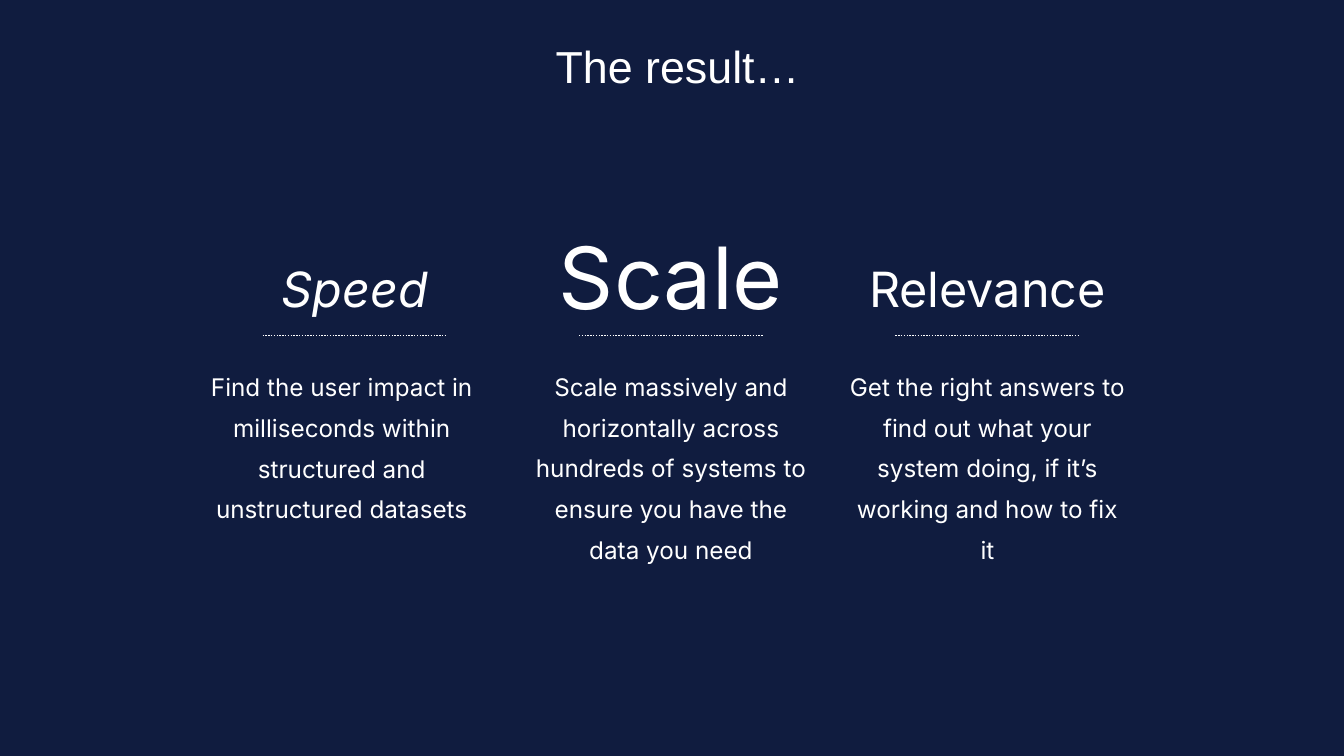
from dataclasses import dataclass

from lxml import etree
from pptx import Presentation
from pptx import util as u
from pptx.dml.color import RGBColor
from pptx.enum import dml, shapes, text
from pptx.oxml.ns import qn
from pptx.slide import Slide


@dataclass(frozen=True)
class Theme:
    navy: RGBColor = RGBColor(0x10, 0x1C, 0x3F)
    white: RGBColor = RGBColor(0xFF, 0xFF, 0xFF)
    title_font: str = "Arial"
    column_font: str = "Inter"
    title_size: float = 48
    heading_size: float = 52
    hero_size: float = 92
    body_size: float = 26


THEME = Theme()


@dataclass(frozen=True)
class Area:
    left: float
    top: float
    width: float
    height: float


@dataclass(frozen=True)
class TextStyle:
    size: float
    font: str = THEME.column_font
    italic: bool = False
    line_spacing: float = 1.0
    inset_x: float = 14.4
    inset_y: float = 14.4


@dataclass(frozen=True)
class Benefit:
    heading: str
    body: str
    heading_style: TextStyle
    heading_top: float
    heading_width: float
    heading_height: float
    body_height: float
    body_shift: float = 0


TITLE_STYLE = TextStyle(THEME.title_size, THEME.title_font,
                        line_spacing=0.9, inset_x=10.8, inset_y=5)
BODY_STYLE = TextStyle(THEME.body_size, line_spacing=1.4)

SLIDE_WIDTH, SLIDE_HEIGHT = 1440, 810
FIRST_CENTER, COLUMN_PITCH = 380, 339
BODY_TOP, BODY_WIDTH = 372, 324
RULE_TOP, RULE_WIDTH = 359.3, 197.3

BENEFITS = [
    Benefit("Speed",
            "Find the user impact in milliseconds within structured and "
            "unstructured datasets",
            TextStyle(THEME.heading_size, italic=True),
            263.5, 487.4, 114, 85, body_shift=-13.7),
    Benefit("Scale",
            "Scale massively and horizontally across hundreds of systems to "
            "ensure you have the data you need",
            TextStyle(THEME.hero_size), 225.4, 313.2, 162, 177),
    Benefit("Relevance",
            "Get the right answers to find out what your system doing, if "
            "it’s working and how to fix it",
            TextStyle(THEME.heading_size), 263.5, 375.8, 120, 114),
]


def add_text(slide: Slide, wording: str, area: Area, style: TextStyle) -> None:
    frame = slide.shapes.add_textbox(
        u.Pt(area.left), u.Pt(area.top), u.Pt(area.width), u.Pt(area.height)
    ).text_frame
    frame.word_wrap = True
    frame.vertical_anchor = text.MSO_ANCHOR.TOP
    frame.margin_left = frame.margin_right = u.Pt(style.inset_x)
    frame.margin_top = frame.margin_bottom = u.Pt(style.inset_y)
    paragraph = frame.paragraphs[0]
    paragraph.alignment = text.PP_ALIGN.CENTER
    paragraph.line_spacing = style.line_spacing
    run = paragraph.add_run()
    run.text = wording
    run.font.name = style.font
    run.font.size = u.Pt(style.size)
    run.font.italic = style.italic
    run.font.color.rgb = THEME.white


def add_dotted_rule(slide: Slide, center: float) -> None:
    rule = slide.shapes.add_connector(
        shapes.MSO_CONNECTOR.STRAIGHT,
        u.Pt(center - RULE_WIDTH / 2), u.Pt(RULE_TOP),
        u.Pt(center + RULE_WIDTH / 2), u.Pt(RULE_TOP))
    rule.line.color.rgb = THEME.white
    rule.line.width = u.Pt(1.5)
    rule.line.dash_style = dml.MSO_LINE.ROUND_DOT
    etree.SubElement(rule._element.spPr, qn("a:effectLst"))


def add_benefit(slide: Slide, benefit: Benefit, center: float) -> None:
    add_text(slide, benefit.heading,
             Area(center - benefit.heading_width / 2, benefit.heading_top,
                  benefit.heading_width, benefit.heading_height),
             benefit.heading_style)
    add_text(slide, benefit.body,
             Area(center + benefit.body_shift - BODY_WIDTH / 2, BODY_TOP,
                  BODY_WIDTH, benefit.body_height),
             BODY_STYLE)
    add_dotted_rule(slide, center)


def main() -> None:
    deck = Presentation()
    deck.slide_width, deck.slide_height = u.Pt(SLIDE_WIDTH), u.Pt(SLIDE_HEIGHT)
    slide = deck.slides.add_slide(deck.slide_layouts[6])
    slide.background.fill.solid()
    slide.background.fill.fore_color.rgb = THEME.navy
    for column, benefit in enumerate(BENEFITS):
        add_benefit(slide, benefit, FIRST_CENTER + column * COLUMN_PITCH)
    add_text(slide, "The result…", Area(6.5, 42.5, 1439, 49), TITLE_STYLE)
    deck.save("out.pptx")


if __name__ == "__main__":
    main()
